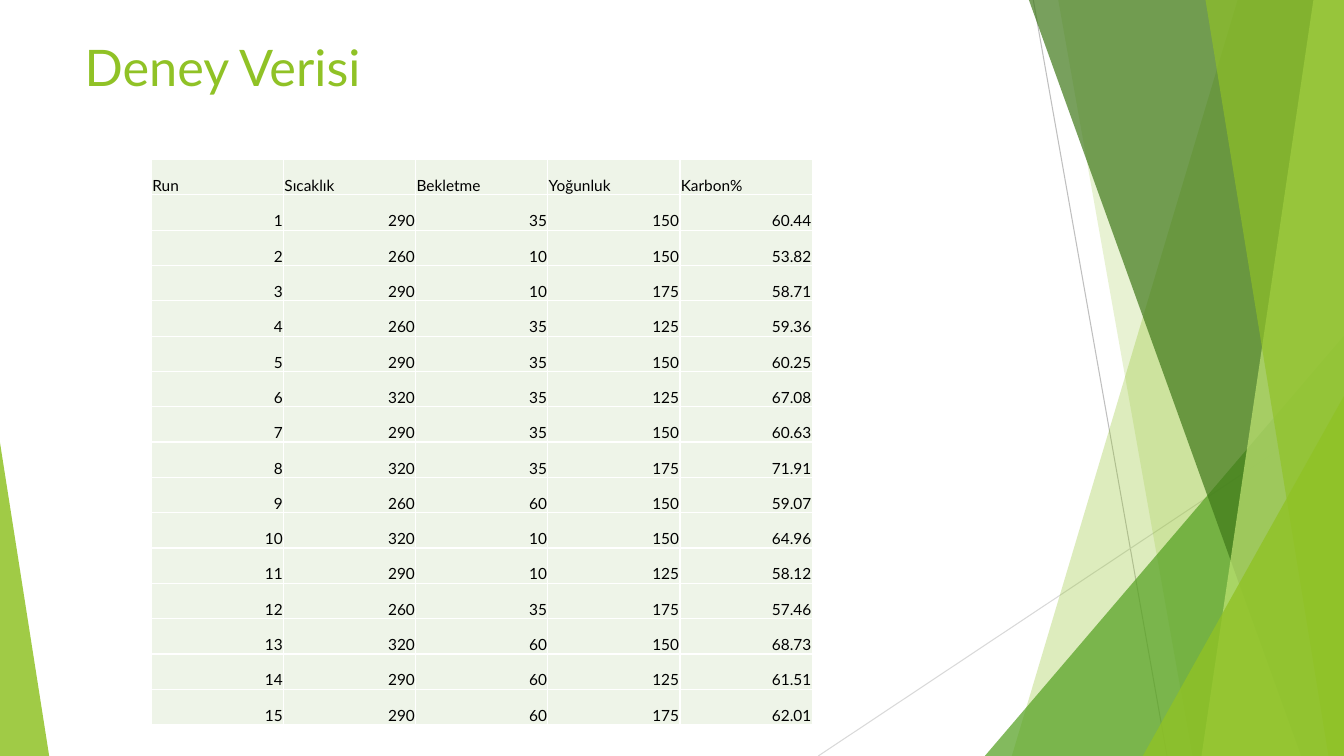
"""Build the experiment data slide: a run table beside a faceted green border."""
from dataclasses import dataclass

from lxml.etree import SubElement
from pptx import Presentation
from pptx.dml.color import RGBColor
from pptx.enum.shapes import MSO_CONNECTOR, MSO_SHAPE
from pptx.enum.text import MSO_ANCHOR, PP_ALIGN
from pptx.oxml.ns import qn
from pptx.shapes.autoshape import Shape
from pptx.slide import Slide
from pptx.table import _Cell
from pptx.util import Cm, Pt

STRAIGHT = MSO_CONNECTOR.STRAIGHT
TRIANGLE = MSO_SHAPE.ISOSCELES_TRIANGLE
TOP, BOTTOM = MSO_ANCHOR.TOP, MSO_ANCHOR.BOTTOM
LEFT, RIGHT = PP_ALIGN.LEFT, PP_ALIGN.RIGHT

FONT = "Lato"
SLIDE_W, SLIDE_H = 33.87, 19.05
COLUMN_W, ROW_H = 3.33, 0.89
COLORS = {
    "lime": "90C226",
    "leaf": "54A021",
    "forest": "3F7819",
    "pale": "C0E474",
    "gray": "BFBFBF",
    "light_gray": "D9D9D9",
    "cell": "EEF4E8",
    "white": "FFFFFF",
    "black": "000000",
}


@dataclass(frozen=True)
class Ray:
    """A thin line between two points."""

    x1: float
    y1: float
    x2: float
    y2: float
    color: str


@dataclass(frozen=True)
class Facet:
    """A full-height panel with a slanted left side, ending at the right edge."""

    top_x: float
    bottom_x: float
    color: str
    opacity: int


@dataclass(frozen=True)
class Wedge:
    """A triangle standing on the bottom edge, with its apex at one side."""

    left: float
    top: float
    right: float
    apex: float
    color: str
    opacity: int


BORDER = (
    Ray(26.04, 0, 29.41, SLIDE_H, "gray"),
    Ray(SLIDE_W, 10.24, 20.62, SLIDE_H, "light_gray"),
    Facet(31.19, 25.5, "lime", 30),
    Facet(26.67, 30.05, "lime", 20),
    Wedge(24.82, 8.46, SLIDE_W, 1, "leaf", 72),
    Facet(25.93, 32.79, "forest", 70),
    Facet(33.1, 30.28, "pale", 70),
    Facet(30.38, 33.48, "lime", 65),
    Wedge(28.8, 9.98, SLIDE_W, 1, "lime", 80),
    Wedge(0, 11.15, 1.24, 0, "lime", 85),
)

HEADINGS = ("Run", "Sıcaklık", "Bekletme", "Yoğunluk", "Karbon%")
MEASUREMENTS = (
    (290, 35, 150, 60.44),
    (260, 10, 150, 53.82),
    (290, 10, 175, 58.71),
    (260, 35, 125, 59.36),
    (290, 35, 150, 60.25),
    (320, 35, 125, 67.08),
    (290, 35, 150, 60.63),
    (320, 35, 175, 71.91),
    (260, 60, 150, 59.07),
    (320, 10, 150, 64.96),
    (290, 10, 125, 58.12),
    (260, 35, 175, 57.46),
    (320, 60, 150, 68.73),
    (290, 60, 125, 61.51),
    (290, 60, 175, 62.01),
)


def rgb(color: str) -> RGBColor:
    """Look up a named colour."""
    return RGBColor.from_string(COLORS[color])


def paint(shape: Shape, color: str, opacity: int) -> None:
    """Give a shape a translucent fill without outline or shadow."""
    shape.shadow.inherit = False
    shape.line.fill.background()
    shape.fill.solid()
    shape.fill.fore_color.rgb = rgb(color)
    tint = shape.element.spPr.find(qn("a:solidFill")).find(qn("a:srgbClr"))
    SubElement(tint, qn("a:alpha"), val=str(opacity * 1000))


def draw_ray(slide: Slide, ray: Ray) -> None:
    """Draw one thin line."""
    line = slide.shapes.add_connector(
        STRAIGHT, Cm(ray.x1), Cm(ray.y1), Cm(ray.x2), Cm(ray.y2))
    line.line.color.rgb = rgb(ray.color)
    line.line.width = Pt(0.75)
    SubElement(line.element.spPr, qn("a:effectLst"))


def draw_facet(slide: Slide, facet: Facet) -> None:
    """Draw one slanted panel."""
    outline = slide.shapes.build_freeform(Cm(facet.top_x), 0)
    outline.add_line_segments((
        (Cm(SLIDE_W), 0),
        (Cm(SLIDE_W), Cm(SLIDE_H)),
        (Cm(facet.bottom_x), Cm(SLIDE_H)),
    ))
    paint(outline.convert_to_shape(), facet.color, facet.opacity)


def draw_wedge(slide: Slide, wedge: Wedge) -> None:
    """Draw one right-angled triangle."""
    triangle = slide.shapes.add_shape(
        TRIANGLE, Cm(wedge.left), Cm(wedge.top),
        Cm(wedge.right - wedge.left), Cm(SLIDE_H - wedge.top))
    triangle.adjustments[0] = wedge.apex
    paint(triangle, wedge.color, wedge.opacity)


def write_title(slide: Slide, text: str) -> None:
    """Place and format the slide title."""
    title = slide.shapes.title
    title.left, title.top, title.width, title.height = (
        Cm(1.88), Cm(0.79), Cm(23.88), Cm(2.87))
    title.text_frame.vertical_anchor = TOP
    title.text_frame.word_wrap = True
    heading = title.text_frame.paragraphs[0]
    heading.alignment = LEFT
    run = heading.add_run()
    run.text = text
    run.font.name, run.font.size = FONT, Pt(36)
    run.font.color.rgb = rgb("lime")


def write_cell(cell: _Cell, text: str, alignment: PP_ALIGN) -> None:
    """Fill, border and write one table cell."""
    for side in ("a:lnL", "a:lnR", "a:lnT", "a:lnB"):
        border = SubElement(
            cell._tc.get_or_add_tcPr(), qn(side), w=str(Pt(1)))
        stroke = SubElement(border, qn("a:solidFill"))
        SubElement(stroke, qn("a:srgbClr"), val=COLORS["white"])
    cell.fill.solid()
    cell.fill.fore_color.rgb = rgb("cell")
    cell.vertical_anchor = BOTTOM
    cell.margin_left = cell.margin_right = cell.margin_top = Cm(0.02)
    cell.margin_bottom = 0
    entry = cell.text_frame.paragraphs[0]
    entry.alignment = alignment
    run = entry.add_run()
    run.text = text
    run.font.name, run.font.size, run.font.bold = FONT, Pt(11), False
    run.font.color.rgb = rgb("black")


def draw_experiment(slide: Slide) -> None:
    """Draw the table of numbered runs."""
    rows = [HEADINGS, *((n, *m) for n, m in enumerate(MEASUREMENTS, 1))]
    experiment = slide.shapes.add_table(
        len(rows), len(HEADINGS), Cm(3.82), Cm(4.02),
        Cm(COLUMN_W * len(HEADINGS)), Cm(ROW_H * len(rows))).table
    experiment.first_row = experiment.horz_banding = False
    for r, values in enumerate(rows):
        for c, value in enumerate(values):
            write_cell(experiment.cell(r, c), str(value), RIGHT if r else LEFT)


def main() -> None:
    """Build and save the slide."""
    deck = Presentation()
    deck.slide_width, deck.slide_height = Cm(SLIDE_W), Cm(SLIDE_H)
    slide = deck.slides.add_slide(deck.slide_layouts[5])
    painters = {Ray: draw_ray, Facet: draw_facet, Wedge: draw_wedge}
    for piece in BORDER:
        painters[type(piece)](slide, piece)
    write_title(slide, "Deney Verisi")
    draw_experiment(slide)
    deck.save("out.pptx")


if __name__ == "__main__":
    main()
